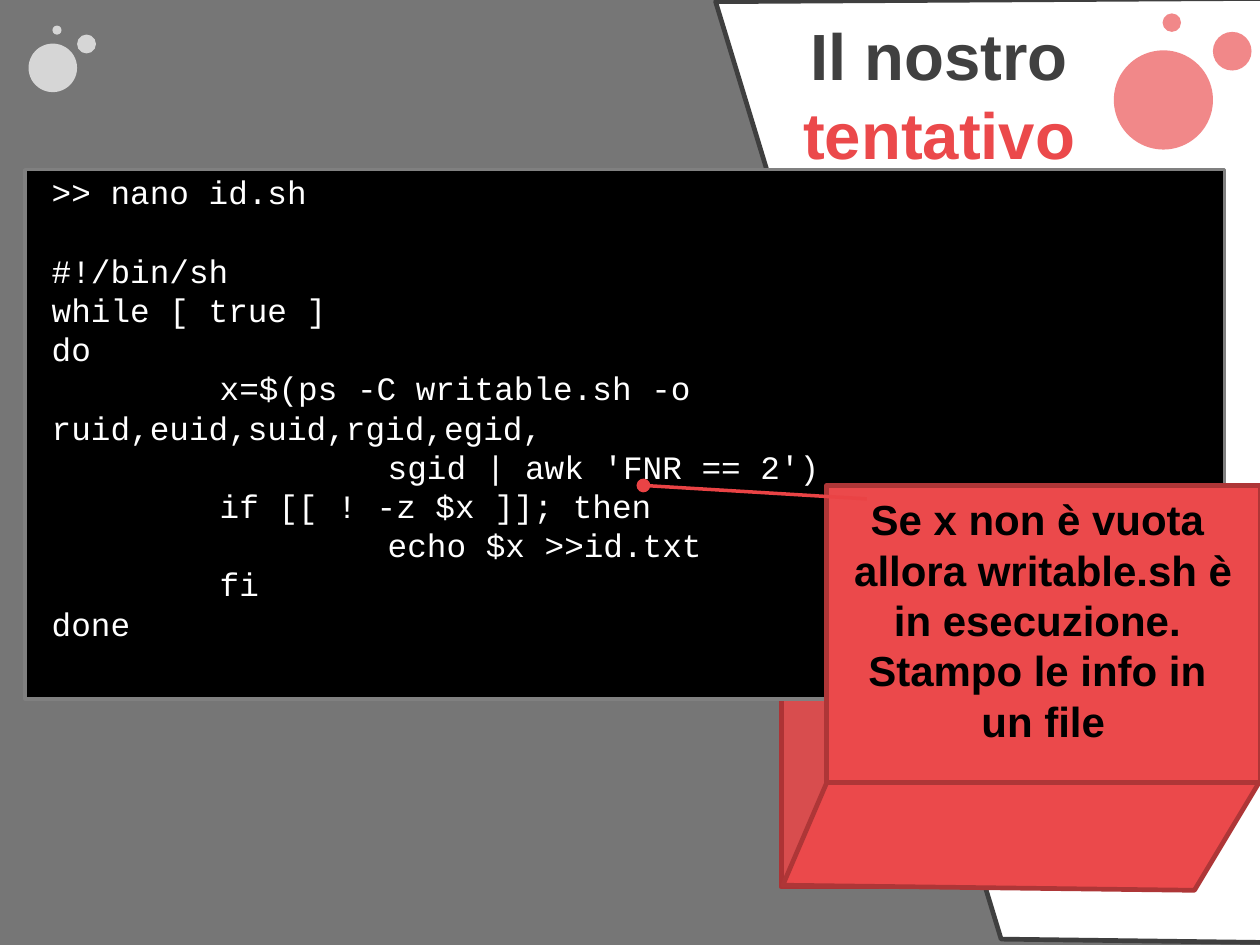
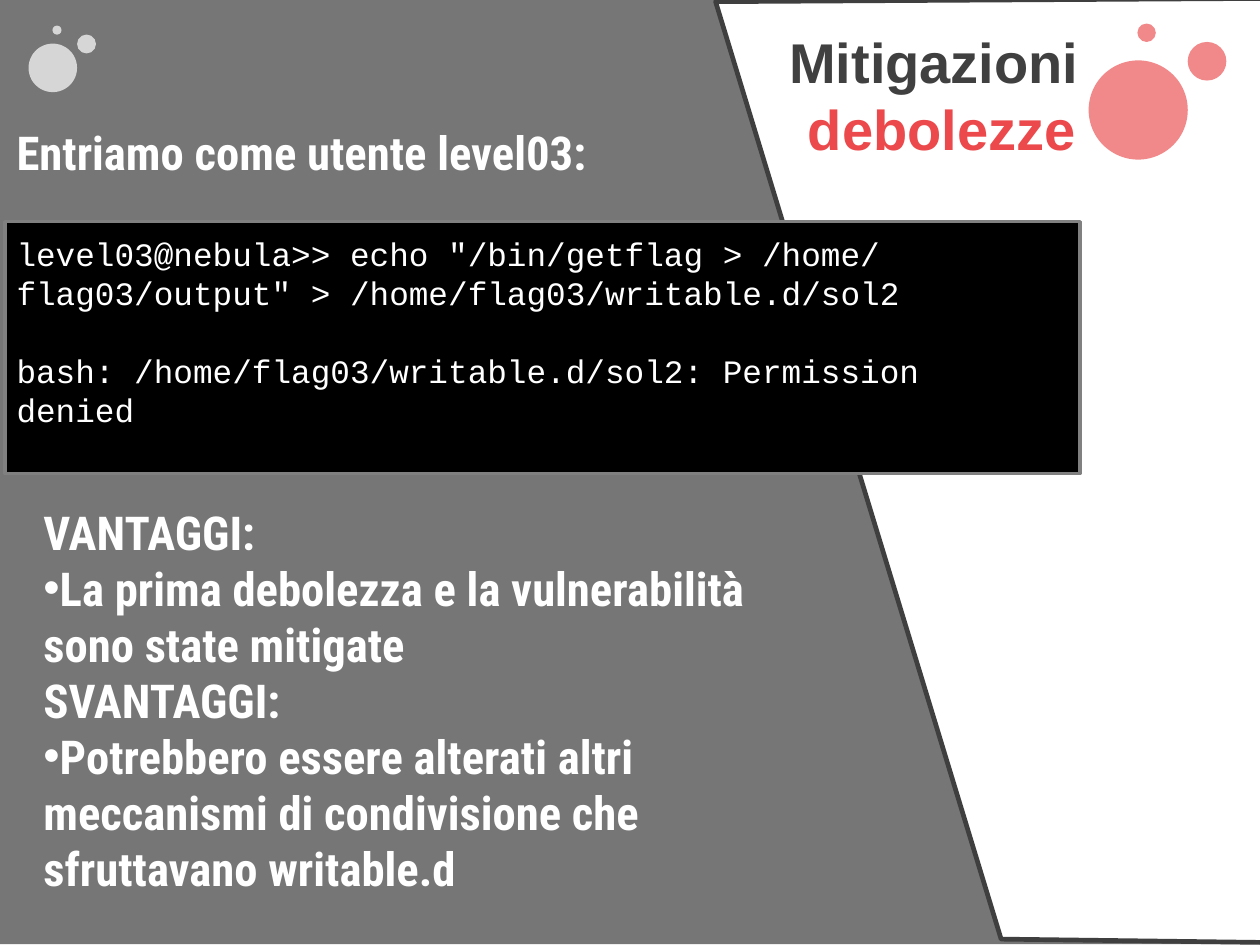
import itertools

import lxml.etree
import pptx
import pptx.dml.color
import pptx.enum.shapes
import pptx.enum.text
import pptx.oxml.ns
import pptx.util

Inches = pptx.util.Inches
Pt = pptx.util.Pt
qn = pptx.oxml.ns.qn
SHAPES = pptx.enum.shapes.MSO_SHAPE
ANCHORS = pptx.enum.text.MSO_ANCHOR
ALIGNMENTS = pptx.enum.text.PP_ALIGN

WHITE, BLACK, GREY = "FFFFFF", "000000", "3C3C3C"
RED, DARK_RED, TITLE_GREY = "EB494B", "AE3637", "404040"

STYLES = {
    "code": {"name": "Courier New", "size": 14, "bold": False, "colors": [WHITE]},
    "body": {"name": "Roboto Condensed", "size": 20, "bold": True, "colors": [WHITE]},
    "callout": {"name": "Arial", "size": 18, "bold": True, "colors": [BLACK]},
    "large title": {"name": "Arial", "size": 28, "bold": True, "colors": [TITLE_GREY, RED]},
    "title": {"name": "Arial", "size": 24, "bold": True, "colors": [TITLE_GREY, RED]},
}


def paint(fill, color, opacity=100):
    fill.solid()
    fill.fore_color.rgb = pptx.dml.color.RGBColor.from_string(color)
    if opacity < 100:
        solid = fill._xPr.find(qn("a:solidFill"))
        lxml.etree.SubElement(solid[0], qn("a:alpha"), val=str(opacity * 1000))


def bubbles(left, top, scale, color, opacity):
    parts = [(0, 0, 0.59), (0.59, -0.11, 0.23), (0.29, -0.22, 0.11)]
    return [
        {
            "kind": SHAPES.OVAL,
            "box": (left + x * scale, top + y * scale, size * scale, size * scale),
            "fill": color,
            "opacity": opacity,
        }
        for x, y, size in parts
    ]


backdrop = {"fill": GREY, "opacity": 70}
white_panel = {
    "points": [(5.96, 5.59), (4.26, 0.01), (7.59, -0.01), (7.54, 5.61)],
    "fill": WHITE, "line": "3F3F3F", "width": 2,
}
corner_bubbles = bubbles(0.17, 0.26, 0.49, WHITE, 70)
terminal = {"fill": BLACK, "line": "808080", "width": 1.5}
red_face = {"fill": RED, "line": DARK_RED, "width": 2}

attempt = [
    {**backdrop, "box": (-0.03, -0.01, 7.62, 5.64)},
    {"box": (4.65, 3.36, 2.41, 1.92), "fill": "D84D4E", "line": "AD3335", "width": 2},
    *corner_bubbles,
    white_panel,
    *bubbles(6.63, 0.3, 1, RED, 65),
    {**terminal, "box": (0.15, 1.01, 7.14, 3.15)},
    {
        "box": (0.21, 1.08, 6.83, 2.69), "style": "code", "anchor": ANCHORS.MIDDLE,
        "text": [
            ">> nano id.sh",
            "",
            "#!/bin/sh",
            "while [ true ]",
            "do",
            "\tx=$(ps -C writable.sh -o ruid,euid,suid,rgid,egid,",
            "\t\tsgid | awk 'FNR == 2')",
            "\tif [[ ! -z $x ]]; then",
            "\t\techo $x >>id.txt",
            "\tfi",
            "done",
        ],
    },
    {**red_face, "points": [(4.93, 4.64), (7.5, 4.65), (7.11, 5.3), (4.66, 5.27)]},
    {
        **red_face, "box": (4.92, 2.89, 2.58, 1.77), "style": "callout",
        "align": ALIGNMENTS.CENTER,
        "text": [
            "Se x non è vuota ",
            "allora writable.sh è in esecuzione. ",
            "Stampo le info in ",
            "un file",
        ],
    },
    {"ends": (5.16, 2.97, 3.83, 2.89), "line": "EA4345", "width": 1.5},
    {
        "box": (4.6, 0.04, 1.98, 1.04), "style": "large title",
        "anchor": ANCHORS.MIDDLE, "align": ALIGNMENTS.CENTER,
        "text": ["Il nostro", "tentativo"],
    },
]

mitigations = [
    {**backdrop, "box": (-0.01, 0, 7.51, 5.62)},
    *corner_bubbles,
    {
        "box": (0.16, 2.95, 4.39, 2.46), "style": "body",
        "text": [
            "VANTAGGI:",
            "•La prima debolezza e la vulnerabilità sono state mitigate",
            "SVANTAGGI:",
            "•Potrebbero essere alterati altri meccanismi di condivisione che sfruttavano writable.d",
        ],
    },
    white_panel,
    *bubbles(6.48, 0.36, 1, RED, 65),
    {
        "box": (0, 0.69, 5.09, 0.44), "style": "body",
        "text": ["Entriamo come utente level03:"],
    },
    {
        "box": (4.56, 0.11, 2.09, 0.91), "style": "title",
        "anchor": ANCHORS.MIDDLE, "align": ALIGNMENTS.CENTER,
        "text": ["Mitigazioni ", "debolezze"],
    },
    {**terminal, "box": (0.03, 1.32, 6.4, 1.5)},
    {
        "box": (0, 1.34, 6.35, 0.93), "style": "code",
        "text": [
            'level03@nebula>> echo "/bin/getflag > /home/',
            'flag03/output" > /home/flag03/writable.d/sol2',
            "",
            "bash: /home/flag03/writable.d/sol2: Permission denied",
        ],
    },
]

presentation = pptx.Presentation()
presentation.slide_width = Inches(7.5)
presentation.slide_height = presentation.slide_width * 3 // 4

for items in (attempt, mitigations):
    slide = presentation.slides.add_slide(presentation.slide_layouts[6])
    for item in items:
        if "ends" in item:
            ends = [Inches(value) for value in item["ends"]]
            shape = slide.shapes.add_connector(pptx.enum.shapes.MSO_CONNECTOR.STRAIGHT, *ends)
            line_element = shape.line._get_or_add_ln()
            paint(shape.line.fill, item["line"])
            lxml.etree.SubElement(line_element, qn("a:tailEnd"), type="oval")
            lxml.etree.SubElement(shape._element.spPr, qn("a:effectLst"))
        elif "points" in item:
            points = [(Inches(x), Inches(y)) for x, y in item["points"]]
            builder = slide.shapes.build_freeform(*points[0])
            builder.add_line_segments(points[1:], close=True)
            shape = builder.convert_to_shape()
        else:
            box = [Inches(value) for value in item["box"]]
            if "fill" in item:
                shape = slide.shapes.add_shape(item.get("kind", SHAPES.RECTANGLE), *box)
            else:
                shape = slide.shapes.add_textbox(*box)

        if "fill" in item:
            shape.shadow.inherit = False
            paint(shape.fill, item["fill"], item.get("opacity", 100))
            if "line" in item:
                paint(shape.line.fill, item["line"])
            else:
                shape.line.fill.background()
        if "width" in item:
            shape.line.width = Pt(item["width"])
        if "text" not in item:
            continue

        style = STYLES[item["style"]]
        frame = shape.text_frame
        frame.word_wrap = True
        frame.vertical_anchor = item.get("anchor", ANCHORS.TOP)
        if "fill" not in item:
            frame.auto_size = pptx.enum.text.MSO_AUTO_SIZE.SHAPE_TO_FIT_TEXT
        colors = itertools.cycle(style["colors"])
        line_height = Pt(style["size"] * 1.2)
        paragraph = None
        gap = 0
        for text in item["text"]:
            if not text:
                gap = line_height
                continue
            paragraph = frame.add_paragraph() if paragraph else frame.paragraphs[0]
            paragraph.alignment = item.get("align", ALIGNMENTS.LEFT)
            paragraph.line_spacing = line_height
            if gap:
                paragraph.space_before = gap
                gap = 0
            properties = paragraph._p.get_or_add_pPr()
            if text.startswith("•"):
                lxml.etree.SubElement(properties, qn("a:buFont"), typeface="Arial")
                lxml.etree.SubElement(properties, qn("a:buChar"), char="•")
            if text.startswith("\t"):
                tabs = lxml.etree.SubElement(properties, qn("a:tabLst"))
                for position in (1, 2):
                    lxml.etree.SubElement(tabs, qn("a:tab"), pos=str(Inches(position)), algn="l")
            run = paragraph.add_run()
            run.text = text.removeprefix("•")
            formats = {"name": style["name"], "size": Pt(style["size"]), "bold": style["bold"]}
            for attribute, value in formats.items():
                setattr(run.font, attribute, value)
            paint(run.font.fill, next(colors))

presentation.save("out.pptx")
